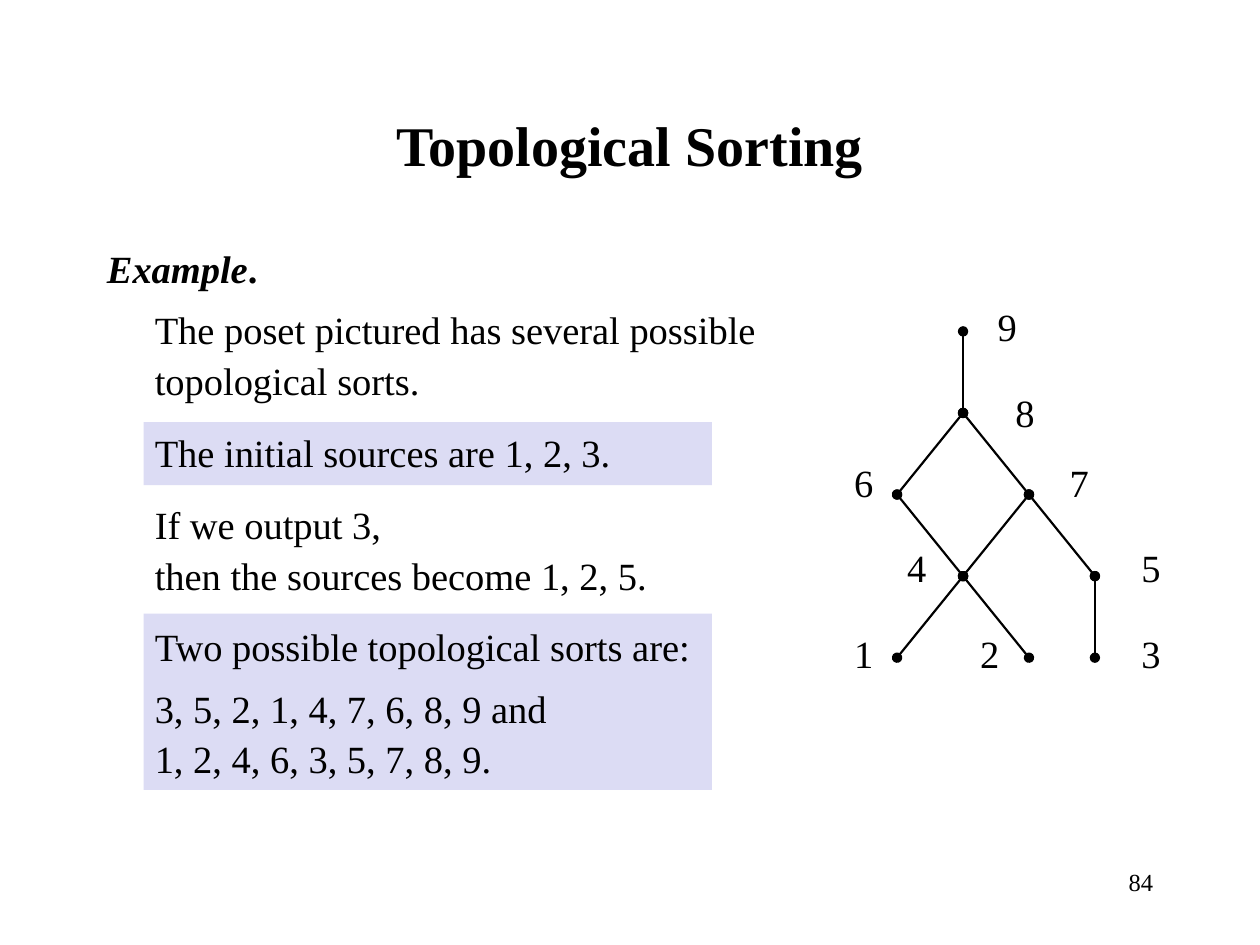
from lxml import etree
from pptx import Presentation
from pptx.dml.color import RGBColor
from pptx.enum.shapes import MSO_CONNECTOR, MSO_SHAPE
from pptx.enum.text import MSO_ANCHOR, PP_ALIGN
from pptx.oxml.ns import qn
from pptx.util import Inches, Pt

LEFT, CENTER, RIGHT = PP_ALIGN.LEFT, PP_ALIGN.CENTER, PP_ALIGN.RIGHT
TOP, MIDDLE = MSO_ANCHOR.TOP, MSO_ANCHOR.MIDDLE
STRAIGHT, RECTANGLE = MSO_CONNECTOR.STRAIGHT, MSO_SHAPE.RECTANGLE
BLACK = RGBColor(0x00, 0x00, 0x00)
LAVENDER = RGBColor(0xDC, 0xDC, 0xF4)
FONT = "Times New Roman"
BODY_SPACING = 1.1
TEXT_INDENT = 0.38

STATEMENTS = [
    ("The poset pictured has several possible topological sorts.", 12),
    ("The initial sources are 1, 2, 3.", 12),
    ("If we output 3,\vthen the sources become 1, 2, 5.", 12),
    ("Two possible topological sorts are:", 6),
    ("3, 5, 2, 1, 4, 7, 6, 8, 9 and", 0),
    ("1, 2, 4, 6, 3, 5, 7, 8, 9.", 0),
]
HIGHLIGHTS = [(3.01, 1.4), (1.49, 0.5)]

NODES = {
    9: (1, 0), 8: (1, 1), 6: (0, 2), 7: (2, 2), 4: (1, 3),
    5: (3, 3), 1: (0, 4), 2: (2, 4), 3: (3, 4),
}
EDGES = [(9, 8), (8, 6), (7, 4), (8, 7), (6, 4), (4, 1), (4, 2), (7, 5), (5, 3)]
LABEL_LEFTS = {9: 1.14, 8: 1.28, 7: 1.71, 6: 0, 5: 2.28, 4: 0.42, 3: 2.28, 2: 1, 1: 0}
LABEL_ROW_TOPS = [0, 0.68, 1.23, 1.91, 2.59]


def add_text_frame(slide, left, top, width, height, anchor=TOP, wrap=True):
    """Add a text box and return its text frame."""
    box = slide.shapes.add_textbox(Inches(left), Inches(top), Inches(width), Inches(height))
    box.text_frame.word_wrap = wrap
    box.text_frame.vertical_anchor = anchor
    return box.text_frame


def format_run(run, size=22, bold=False, italic=False):
    """Set the font of a run."""
    run.font.name = FONT
    run.font.size = Pt(size)
    run.font.bold = bold
    run.font.italic = italic
    run.font.color.rgb = BLACK


def write_paragraph(paragraph, text, align=LEFT, spacing=1.0, after=0, indent=0, **font):
    """Fill a paragraph with formatted text."""
    paragraph.text = text
    paragraph.alignment = align
    paragraph.line_spacing = spacing
    paragraph.space_before = Pt(0)
    paragraph.space_after = Pt(after)
    if indent:
        paragraph._p.get_or_add_pPr().set("marL", str(Inches(indent)))
    for run in paragraph.runs:
        format_run(run, **font)


def add_title(slide, left, top, width, height):
    """Place the centred slide title."""
    frame = add_text_frame(slide, left, top, width, height, anchor=MIDDLE)
    write_paragraph(frame.paragraphs[0], "Topological Sorting", size=32, bold=True,
                    align=CENTER, spacing=0.95)


def add_example(slide, left, top, width, height):
    """Place the worked example over its highlight bands."""
    for band_top, band_height in HIGHLIGHTS:
        band = slide.shapes.add_shape(RECTANGLE, Inches(left + 0.39), Inches(top + band_top),
                                      Inches(4.51), Inches(band_height))
        band.shadow.inherit = False
        band.fill.solid()
        band.fill.fore_color.rgb = LAVENDER
        band.line.fill.background()
    frame = add_text_frame(slide, left, top, width, height)
    heading = frame.paragraphs[0]
    write_paragraph(heading, "Example", bold=True, italic=True, spacing=BODY_SPACING, after=6)
    period = heading.add_run()
    period.text = "."
    format_run(period, bold=True)
    for text, after in STATEMENTS:
        write_paragraph(frame.add_paragraph(), text, spacing=BODY_SPACING, after=after,
                        indent=TEXT_INDENT)


def add_edge(slide, start, end):
    """Draw a line with a dot at each end."""
    edge = slide.shapes.add_connector(STRAIGHT, *map(Inches, start + end))
    edge.line.color.rgb = BLACK
    edge.line.width = Pt(1.25)
    line = edge._element.spPr.find(qn("a:ln"))
    for name in ("a:headEnd", "a:tailEnd"):
        etree.SubElement(line, qn(name), type="oval")
    etree.SubElement(edge._element.spPr, qn("a:effectLst"))


def add_poset(slide, left, top):
    """Draw the Hasse diagram on its grid and label its nodes."""
    column_gap, row_gap = 1.57 / 3, 2.59 / 4
    points = {
        node: (left + 0.44 + column * column_gap, top + 0.27 + row * row_gap)
        for node, (column, row) in NODES.items()
    }
    for start, end in EDGES:
        add_edge(slide, points[start], points[end])
    for node, label_left in LABEL_LEFTS.items():
        label_top = LABEL_ROW_TOPS[NODES[node][1]]
        frame = add_text_frame(slide, left + label_left, top + label_top, 0.35, 0.47, wrap=False)
        write_paragraph(frame.paragraphs[0], str(node))


def add_page_number(slide, left, top, width, height):
    """Place the page number at the right."""
    frame = add_text_frame(slide, left, top, width, height)
    write_paragraph(frame.paragraphs[0], "84", size=14, align=RIGHT)


def main():
    """Build and save the slide."""
    presentation = Presentation()
    presentation.slide_width = Inches(10)
    presentation.slide_height = Inches(7.5)
    slide = presentation.slides.add_slide(presentation.slide_layouts[6])
    add_title(slide, 0.75, 0.67, 8.5, 1)
    add_example(slide, 0.75, 1.86, 5.91, 4.84)
    add_page_number(slide, 7.17, 6.83, 2.08, 0.5)
    add_poset(slide, 6.68, 2.36)
    presentation.save("out.pptx")


if __name__ == "__main__":
    main()
